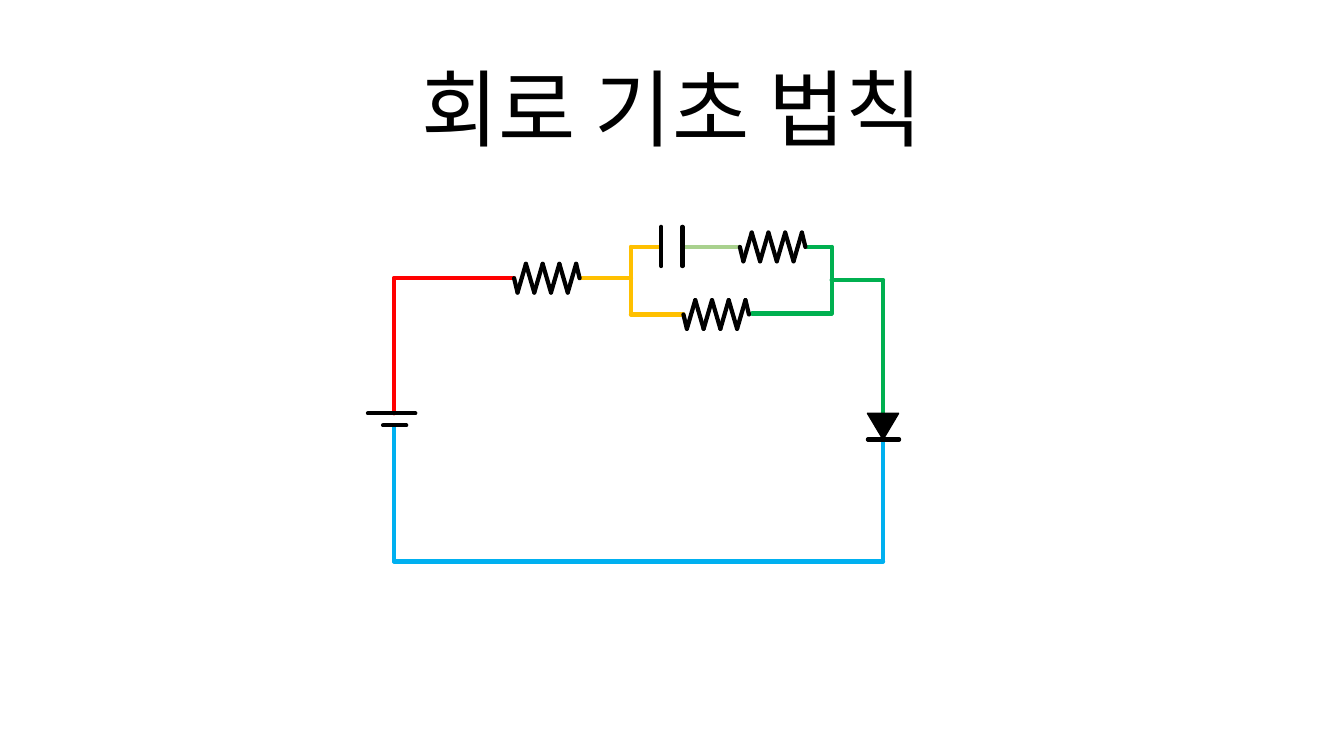
import itertools
from dataclasses import dataclass

import lxml.etree
import pptx
import pptx.dml.color
import pptx.enum.shapes
import pptx.enum.text
import pptx.oxml.ns
import pptx.shapes.connector
import pptx.shapes.shapetree
import pptx.util

RGBColor = pptx.dml.color.RGBColor
BLACK = RGBColor(0x00, 0x00, 0x00)
RED = RGBColor(0xFF, 0x00, 0x00)
BLUE = RGBColor(0x00, 0xB0, 0xF0)
AMBER = RGBColor(0xFF, 0xC0, 0x00)
LIGHT_GREEN = RGBColor(0xA9, 0xD1, 0x8E)
GREEN = RGBColor(0x00, 0xB0, 0x50)

TITLE_FONT = "Noto Sans CJK KR"
TITLE_LAYOUT = 5
CELL = pptx.util.Inches(0.1)  # the grid has square cells
COLUMNS, ROWS = 133.33, 75
LINE_WIDTH = pptx.util.Pt(3)

BATTERY, SPLIT, MERGE, DIODE = 39.1, 62.6, 82.5, 87.6  # columns
UPPER, MAIN, LOWER, BOTTOM = 24.5, 27.6, 31.2, 55.7  # rows
BATTERY_TOP, BATTERY_BOTTOM = 41, 42.2
DIODE_TOP, DIODE_BAR = 41, 43.6

RESISTOR_WIDTH = 6.5
RESISTOR_HEIGHT = 2.85
RESISTOR_PEAKS = 8
PEAK_STEP = 0.83

Point = tuple[float, float]
Shapes = pptx.shapes.shapetree.SlideShapes | pptx.shapes.shapetree.GroupShapes


@dataclass(frozen=True)
class Path:
    """A chain of straight lines through (column, row) points."""

    color: RGBColor
    points: tuple[Point, ...]


@dataclass(frozen=True)
class Resistor:
    column: float
    row: float


WIRES = (
    Path(RED, ((BATTERY, BATTERY_TOP), (BATTERY, MAIN), (51, MAIN))),
    Path(AMBER, ((57.5, MAIN), (SPLIT, MAIN))),
    Path(AMBER, ((65.4, UPPER), (SPLIT, UPPER), (SPLIT, LOWER), (67.8, LOWER))),
    Path(LIGHT_GREEN, ((67.9, UPPER), (73.4, UPPER))),
    Path(GREEN, ((80.1, UPPER), (MERGE, UPPER), (MERGE, 31.1), (74.6, 31.1))),
    Path(GREEN, ((MERGE, 27.8), (DIODE, 27.8), (DIODE, DIODE_TOP))),
    Path(BLUE, ((DIODE, DIODE_BAR), (DIODE, BOTTOM), (BATTERY, BOTTOM),
                (BATTERY, BATTERY_BOTTOM))),
)
RESISTORS = (Resistor(51, MAIN), Resistor(67.8, LOWER), Resistor(73.4, UPPER))
PLATES = (
    Path(BLACK, ((65.6, 26.4), (65.6, 22.5))),
    Path(BLACK, ((67.7, 26.4), (67.7, 22.5))),
    Path(BLACK, ((86.1, DIODE_BAR), (89.2, DIODE_BAR))),
    Path(BLACK, ((36.5, BATTERY_TOP), (41.2, BATTERY_TOP))),
    Path(BLACK, ((38, BATTERY_BOTTOM), (40.3, BATTERY_BOTTOM))),
)


def cells(count: float) -> pptx.util.Emu:
    return pptx.util.Emu(round(count * CELL))


def finish_line(connector: pptx.shapes.connector.Connector, color: RGBColor) -> None:
    """Style a line with round ends and no shadow."""
    connector.line.color.rgb = color
    connector.line.width = LINE_WIDTH
    properties = connector._element.spPr
    outline = connector.line._get_or_add_ln()
    outline.set("cap", "rnd")
    lxml.etree.SubElement(outline, pptx.oxml.ns.qn("a:round"))
    lxml.etree.SubElement(properties, pptx.oxml.ns.qn("a:effectLst"))


def draw_path(shapes: Shapes, route: Path) -> None:
    for start, end in itertools.pairwise(route.points):
        connector = shapes.add_connector(
            pptx.enum.shapes.MSO_CONNECTOR.STRAIGHT,
            *(cells(length) for length in (*start, *end)),
        )
        finish_line(connector, route.color)


def draw_resistor(shapes: Shapes, resistor: Resistor) -> None:
    lead = (RESISTOR_WIDTH - (RESISTOR_PEAKS - 1) * PEAK_STEP) / 2
    peaks = tuple(
        (resistor.column + lead + index * PEAK_STEP,
         resistor.row + RESISTOR_HEIGHT / 2 * (-1) ** index)
        for index in range(RESISTOR_PEAKS)
    )
    start = (resistor.column, resistor.row)
    end = (resistor.column + RESISTOR_WIDTH, resistor.row)
    group = shapes.add_group_shape()
    draw_path(group.shapes, Path(BLACK, (start, *peaks, end)))


def draw_diode(shapes: Shapes) -> None:
    width = 3.1
    triangle = shapes.add_shape(
        pptx.enum.shapes.MSO_SHAPE.ISOSCELES_TRIANGLE,
        cells(DIODE - width / 2), cells(DIODE_TOP),
        cells(width), cells(DIODE_BAR - DIODE_TOP),
    )
    triangle.rotation = 180
    triangle.shadow.inherit = False
    triangle.fill.solid()
    triangle.fill.fore_color.rgb = BLACK
    triangle.line.color.rgb = BLACK
    triangle.line.width = pptx.util.Pt(1)


def write_title(shapes: Shapes, text: str) -> None:
    title = shapes.title
    title.left, title.top = cells(0), cells(5.7)
    title.width, title.height = cells(COLUMNS), cells(9.8)
    frame = title.text_frame
    frame.text = text
    frame.auto_size = pptx.enum.text.MSO_AUTO_SIZE.NONE
    frame.vertical_anchor = pptx.enum.text.MSO_ANCHOR.MIDDLE
    paragraph = frame.paragraphs[0]
    paragraph.alignment = pptx.enum.text.PP_ALIGN.CENTER
    run = paragraph.runs[0]
    run.font.size = pptx.util.Pt(60)
    run.font.name = TITLE_FONT
    run.font.color.rgb = BLACK
    east_asian = lxml.etree.SubElement(
        run._r.get_or_add_rPr(), pptx.oxml.ns.qn("a:ea")
    )
    east_asian.set("typeface", TITLE_FONT)


def main() -> None:
    presentation = pptx.Presentation()
    presentation.slide_width = cells(COLUMNS)
    presentation.slide_height = cells(ROWS)
    slide = presentation.slides.add_slide(presentation.slide_layouts[TITLE_LAYOUT])
    write_title(slide.shapes, "회로 기초 법칙")
    for wire in WIRES:
        draw_path(slide.shapes, wire)
    for resistor in RESISTORS:
        draw_resistor(slide.shapes, resistor)
    draw_diode(slide.shapes)
    for plate in PLATES:
        draw_path(slide.shapes, plate)
    presentation.save("out.pptx")


if __name__ == "__main__":
    main()
